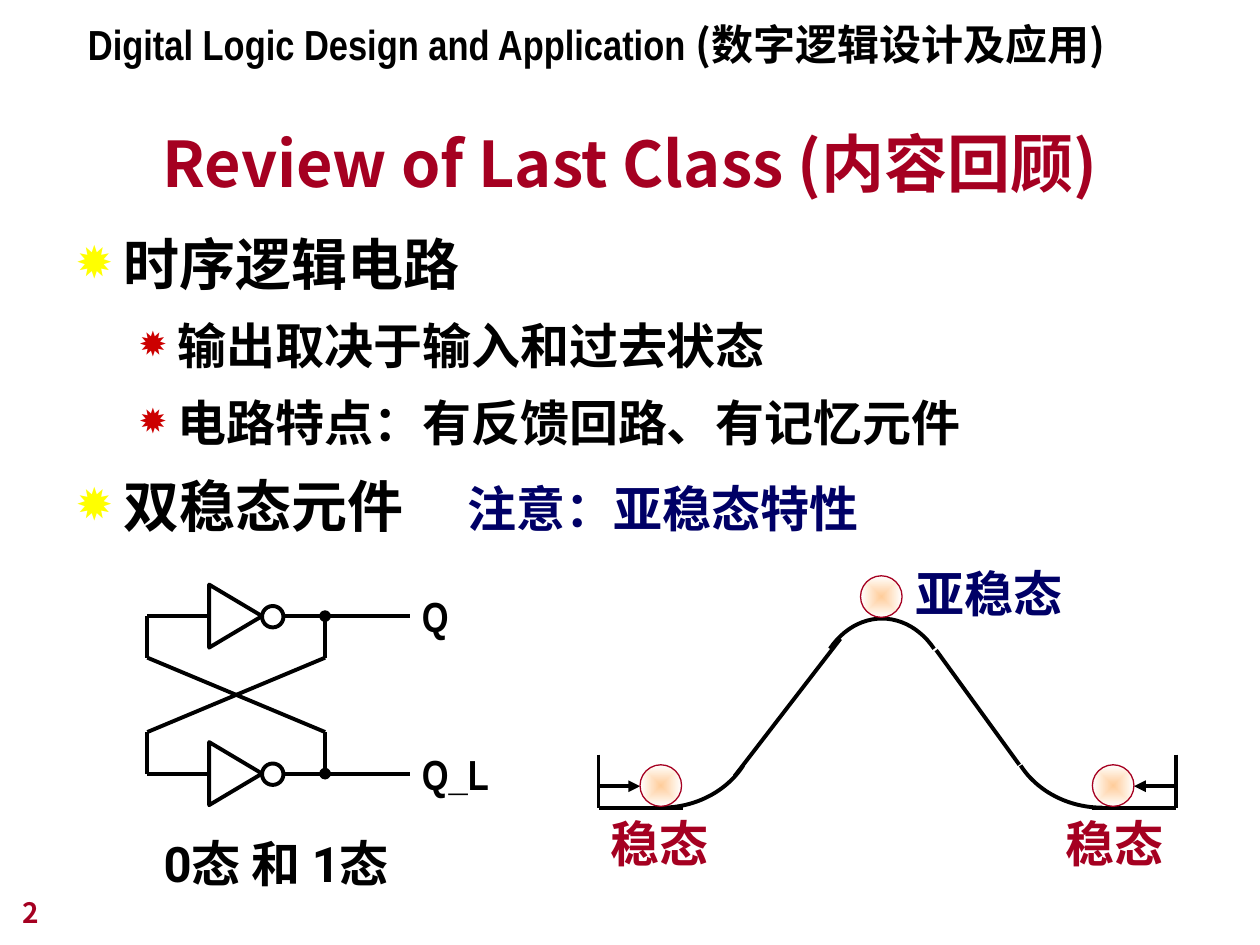
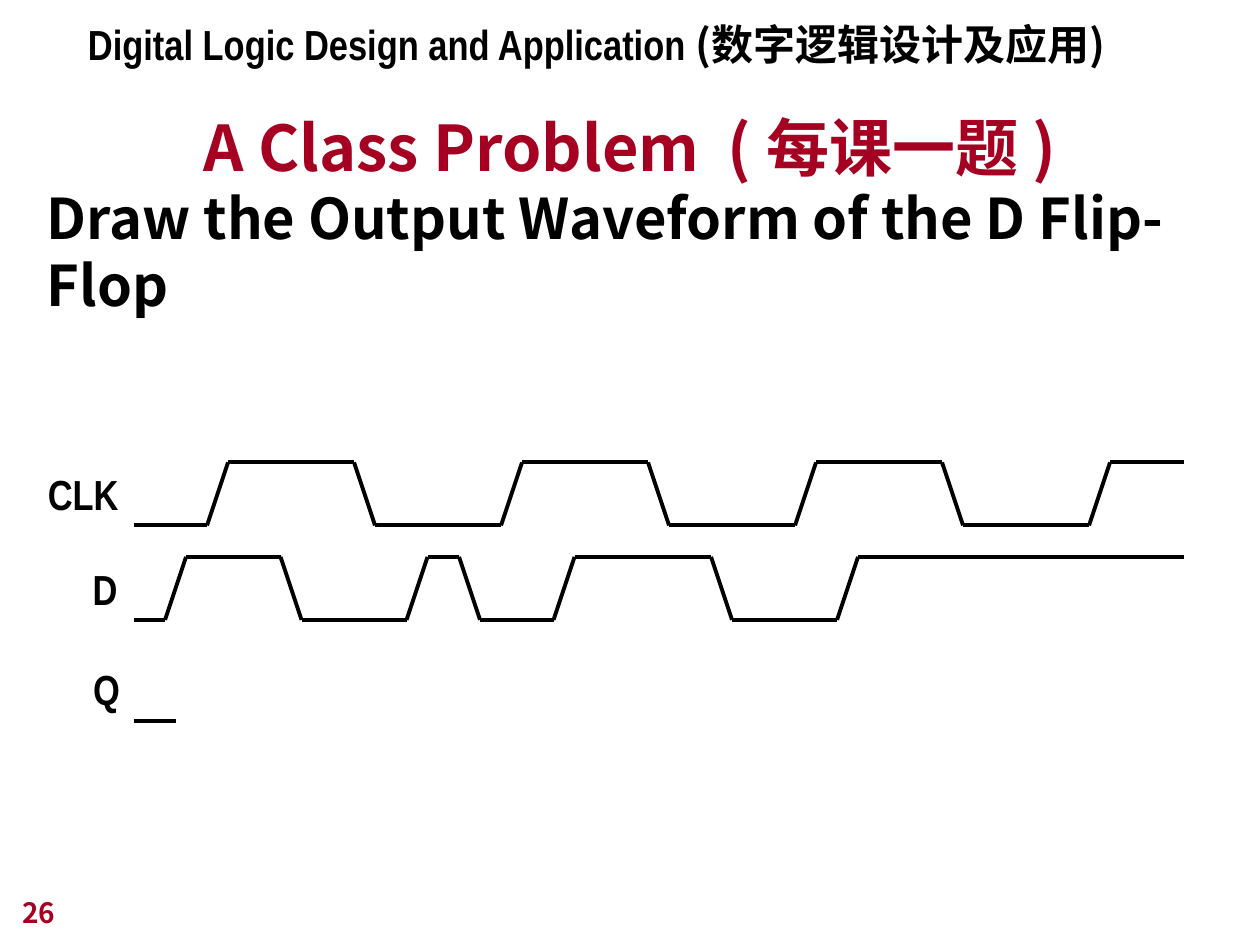
import dataclasses
import math

import lxml.etree
import pptx
import pptx.dml.color
import pptx.enum.shapes
import pptx.enum.text
import pptx.oxml.ns
import pptx.util

SHAPE = pptx.enum.shapes.MSO_SHAPE
ALIGN = pptx.enum.text.PP_ALIGN
ANCHOR = pptx.enum.text.MSO_ANCHOR


@dataclasses.dataclass(frozen=True)
class Theme:
    ink: str = "000000"
    red: str = "A50021"
    navy: str = "000066"
    ball_core: str = "FFCC99"
    ball_edge: str = "FFFFFF"
    cjk: str = "Noto Sans CJK JP"
    label: str = "Arial Narrow"
    body: str = "Arial"
    caption: str = "Roboto"
    heading_size: int = 36
    task_size: int = 32
    note_size: int = 28
    label_size: int = 24
    number_size: int = 16
    stroke: float = 2.25
    thin: float = 0.75


THEME = Theme()

# Content shared by both slides
COURSE = (("Digital Logic Design and Application ", THEME.label),
          ("(数字逻辑设计及应用)", THEME.cjk))
COURSE_BOX = (0.6, 0.1, 8.3, 0.5)
NUMBER_BOX = (0.08, 6.92, 2.08, 0.5)

# Content of the review slide
REVIEW_TITLE = "Review of Last Class (内容回顾)"
REVIEW_POINTS = [
    (0, "时序逻辑电路"),
    (1, "输出取决于输入和过去状态"),
    (1, "电路特点：有反馈回路、有记忆元件"),
    (0, "双稳态元件"),
]
# Per level: size, space before, left margin, hanging indent, bullet colour, bullet %
LEVELS = [(32, 8, 0.38, 0.38, "FFFF00", 80),
          (28, 7, 0.81, 0.31, "CC0000", 70)]
REVIEW_NOTES = [  # text, box, font, colour, line spacing
    ("0态 和 1态", (1.2, 6.47, 2.49, 0.66), THEME.caption, THEME.ink, 1.2),
    ("注意：亚稳态特性", (3.61, 3.75, 3.3, 0.57), THEME.label, THEME.navy, 1),
    ("亚稳态", (7.17, 4.42, 1.36, 0.57), THEME.label, THEME.navy, 1),
    ("稳态", (4.75, 6.41, 0.97, 0.57), THEME.label, THEME.red, 1),
    ("稳态", (8.36, 6.41, 0.97, 0.57), THEME.label, THEME.red, 1),
]
LATCH_OUTPUTS = [("Q", 4.89, 5.22, 0.41), ("Q_L", 6.14, 5.81, 0.73)]
LATCH_LEFT, LATCH_RIGHT = 1.17, 2.58

# Content of the class problem slide
PROBLEM_HEADING = "A Class Problem  ( 每课一题 )"
PROBLEM_TASK = "Draw the Output Waveform of the D Flip-Flop"
# Signal, label box, low level, end and edge times in ticks
SIGNALS = [
    ("CLK", (0.28, 3.67, 0.76, 0.5), 4.17, 100, list(range(7, 92, 14))),
    ("D", (0.64, 4.42, 0.39, 0.5), 4.92, 100, [3, 14, 26, 31, 40, 55, 67]),
    ("Q", (0.64, 5.22, 0.41, 0.5), 5.72, 4, []),
]
WAVE_LEFT, TICK, SLANT, SWING = 1.06, 1 / 12, 2, 0.5


# Drawing helpers
def inches(lengths):
    return [pptx.util.Inches(length) for length in lengths]


def rgb(colour):
    return pptx.dml.color.RGBColor.from_string(colour)


def sub(parent, tag, **attributes):
    return lxml.etree.SubElement(parent, pptx.oxml.ns.qn(tag), attributes)


def style_run(run, size, font, colour):
    run.font.size = pptx.util.Pt(size)
    run.font.bold = True
    run.font.name = font
    run.font.color.rgb = rgb(colour)
    east_asian = lxml.etree.Element(pptx.oxml.ns.qn("a:ea"), typeface=THEME.cjk)
    run.font._element.find(pptx.oxml.ns.qn("a:latin")).addnext(east_asian)


def set_frame(frame, anchor=ANCHOR.TOP, wrap=True):
    frame.auto_size = pptx.enum.text.MSO_AUTO_SIZE.NONE
    frame.word_wrap = wrap
    frame.vertical_anchor = anchor


def place(shape, box):
    shape.left, shape.top, shape.width, shape.height = inches(box)


def write(shape, text, size, font, colour, align=ALIGN.LEFT,
          anchor=ANCHOR.TOP, wrap=True, spacing=1):
    frame = shape.text_frame
    set_frame(frame, anchor, wrap)
    frame.text = text
    paragraph = frame.paragraphs[0]
    paragraph.alignment = align
    paragraph.line_spacing = spacing
    style_run(paragraph.runs[0], size, font, colour)


def add_text(slide, box, *args, **options):
    write(slide.shapes.add_textbox(*inches(box)), *args, **options)


def add_label(slide, text, box, align=ALIGN.LEFT):
    add_text(slide, box, text, THEME.label_size, THEME.label, THEME.ink,
             align=align, wrap=False)


def set_stroke(line, colour=THEME.ink, width=THEME.stroke):
    line.color.rgb = rgb(colour)
    line.width = pptx.util.Pt(width)


def add_line(slide, start, end, head=None, tail=None):
    wire = slide.shapes.add_connector(
        pptx.enum.shapes.MSO_CONNECTOR.STRAIGHT, *inches(start + end))
    set_stroke(wire.line)
    outline = wire.line._get_or_add_ln()
    for tag, kind in (("a:headEnd", head), ("a:tailEnd", tail)):
        if kind:
            sub(outline, tag, type=kind)
    sub(wire._element.spPr, "a:effectLst")


def add_outline(slide, preset, box):
    shape = slide.shapes.add_shape(preset, *inches(box))
    shape.shadow.inherit = False
    shape.fill.background()
    set_stroke(shape.line)
    return shape


def add_arc(slide, centre, radii, start, end, steps=24):
    points = []
    for step in range(steps + 1):
        angle = math.radians(start + (end - start) * step / steps)
        points.append(inches((centre[0] + radii[0] * math.cos(angle),
                              centre[1] + radii[1] * math.sin(angle))))
    builder = slide.shapes.build_freeform(*points[0])
    builder.add_line_segments(points[1:], close=False)
    curve = builder.convert_to_shape()
    curve.shadow.inherit = False
    curve.fill.background()
    set_stroke(curve.line)


def add_ball(slide, left, top):
    ball = add_outline(slide, SHAPE.OVAL, (left, top, 0.33, 0.33))
    set_stroke(ball.line, THEME.red, THEME.thin)
    ball.fill.gradient()
    for stop, colour in zip(ball.fill.gradient_stops,
                            (THEME.ball_core, THEME.ball_edge)):
        stop.color.rgb = rgb(colour)
    gradient = ball._element.spPr.find(pptx.oxml.ns.qn("a:gradFill"))
    gradient.remove(gradient.find(pptx.oxml.ns.qn("a:lin")))
    centre = sub(gradient, "a:path", path="rect")
    sub(centre, "a:fillToRect", l="50000", t="50000", r="50000", b="50000")


def add_heading(shape, text):
    write(shape, text, THEME.heading_size, THEME.cjk, THEME.red,
          align=ALIGN.CENTER, anchor=ANCHOR.BOTTOM)


def add_course_and_number(slide, number):
    course = slide.shapes.add_textbox(*inches(COURSE_BOX))
    set_frame(course.text_frame)
    for text, font in COURSE:
        run = course.text_frame.paragraphs[0].add_run()
        run.text = text
        style_run(run, THEME.label_size, font, THEME.ink)
    add_text(slide, NUMBER_BOX, str(number), THEME.number_size, THEME.cjk,
             THEME.red, anchor=ANCHOR.BOTTOM)


# Parts of the review slide
def add_points(body):
    place(body, (0.5, 1.72, 9, 5.33))
    frame = body.text_frame
    set_frame(frame)
    for index, (level, text) in enumerate(REVIEW_POINTS):
        size, before, margin, hanging, colour, percent = LEVELS[level]
        point = frame.paragraphs[0] if index == 0 else frame.add_paragraph()
        point.text = text
        point.level = level
        point.line_spacing = 1.1
        point.space_before = pptx.util.Pt(before if index else 0)
        properties = point._p.get_or_add_pPr()
        properties.set("marL", str(pptx.util.Inches(margin)))
        properties.set("indent", str(-pptx.util.Inches(hanging)))
        sub(sub(properties, "a:buClr"), "a:srgbClr", val=colour)
        sub(properties, "a:buSzPct", val=str(percent * 1000))
        sub(properties, "a:buChar", char="✹")
        style_run(point.runs[0], size, THEME.body, THEME.ink)


def add_latch(slide):
    for name, rail, bend, width in LATCH_OUTPUTS:
        inverter = add_outline(slide, SHAPE.ISOSCELES_TRIANGLE,
                               (1.62, rail - 0.21, 0.5, 0.42))
        inverter.rotation = 90
        add_outline(slide, SHAPE.OVAL, (2.08, rail - 0.08, 0.17, 0.17))
        add_line(slide, (LATCH_LEFT, rail), (1.67, rail))
        add_line(slide, (2.25, rail), (3.25, rail))
        add_line(slide, (LATCH_LEFT, rail), (LATCH_LEFT, bend))
        add_line(slide, (LATCH_RIGHT, rail), (LATCH_RIGHT, bend), head="oval")
        add_label(slide, name, (3.25, rail - 0.25, width, 0.5))
    upper, lower = (bend for _, _, bend, _ in LATCH_OUTPUTS)
    add_line(slide, (LATCH_LEFT, upper), (LATCH_RIGHT, lower))
    add_line(slide, (LATCH_LEFT, lower), (LATCH_RIGHT, upper))


def add_hill(slide):
    ground, wall_top, push = 6.41, 5.99, 6.24
    add_arc(slide, (7, 5.58), (0.54, 0.67), 220, 320)
    add_line(slide, (6.67, 5.07), (5.83, 6.16))
    add_line(slide, (7.43, 5.16), (8.09, 6.07))
    # Wall, flat ground end, foot centre, foot end angle, ball side
    for wall, flat, foot, angle, ball_side in ((4.75, 5.42, 5.25, 30, 5.08),
                                               (9.33, 8.67, 8.75, 150, 9)):
        add_arc(slide, (foot, 5.74), (0.75, 0.67), 90, angle)
        add_line(slide, (wall, ground), (flat, ground))
        add_line(slide, (wall, wall_top), (wall, ground))
        add_line(slide, (wall, push), (ball_side, push), tail="triangle")
    for left, top in ((5.08, 6.07), (6.83, 4.57), (8.67, 6.07)):
        add_ball(slide, left, top)


def build_review(deck):
    slide = deck.slides.add_slide(deck.slide_layouts[1])
    title, body = slide.placeholders
    place(title, (0.75, 0.81, 8.5, 0.83))
    add_heading(title, REVIEW_TITLE)
    add_points(body)
    add_latch(slide)
    add_hill(slide)
    for text, box, font, colour, spacing in REVIEW_NOTES:
        add_text(slide, box, text, THEME.note_size, font, colour,
                 wrap=False, spacing=spacing)
    add_course_and_number(slide, 2)


# Parts of the class problem slide
def add_waveform(slide, low, end, edges):
    def at(tick, is_high):
        return WAVE_LEFT + tick * TICK, low - SWING * is_high

    tick, is_high = 0, False
    for edge in edges:
        add_line(slide, at(tick, is_high), at(edge, is_high))
        tick = edge + SLANT
        add_line(slide, at(edge, is_high), at(tick, not is_high))
        is_high = not is_high
    add_line(slide, at(tick, is_high), at(end, is_high))


def build_problem(deck):
    slide = deck.slides.add_slide(deck.slide_layouts[5])
    task = slide.shapes.title
    place(task, (0.27, 1.62, 9.53, 0.95))
    write(task, PROBLEM_TASK, THEME.task_size, THEME.cjk, THEME.ink,
          anchor=ANCHOR.BOTTOM)
    heading = slide.shapes.add_textbox(*inches((0.75, 0.68, 8.5, 0.83)))
    add_heading(heading, PROBLEM_HEADING)
    for name, box, low, end, edges in SIGNALS:
        add_label(slide, name, box, ALIGN.RIGHT)
        add_waveform(slide, low, end, edges)
    add_course_and_number(slide, 26)


def main():
    deck = pptx.Presentation()
    deck.slide_width, deck.slide_height = inches((10, 7.5))
    build_review(deck)
    build_problem(deck)
    deck.save("out.pptx")


if __name__ == "__main__":
    main()
